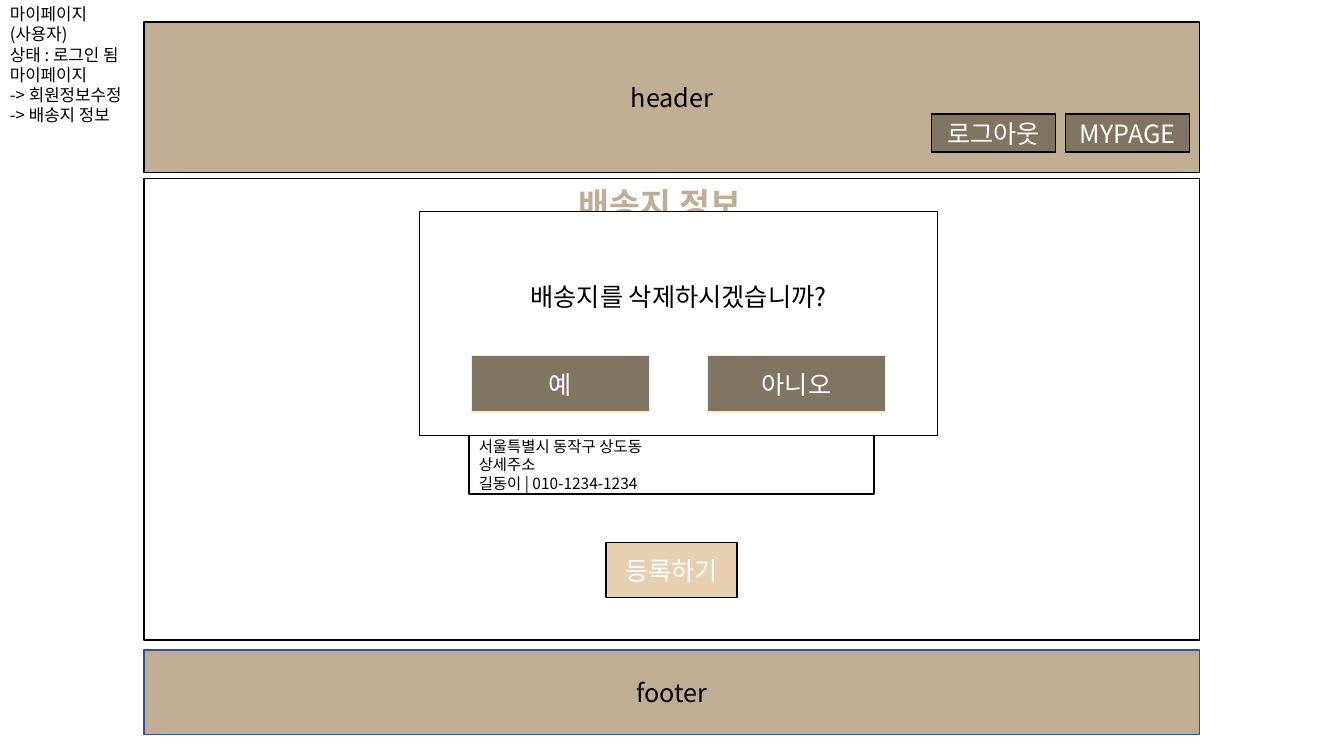
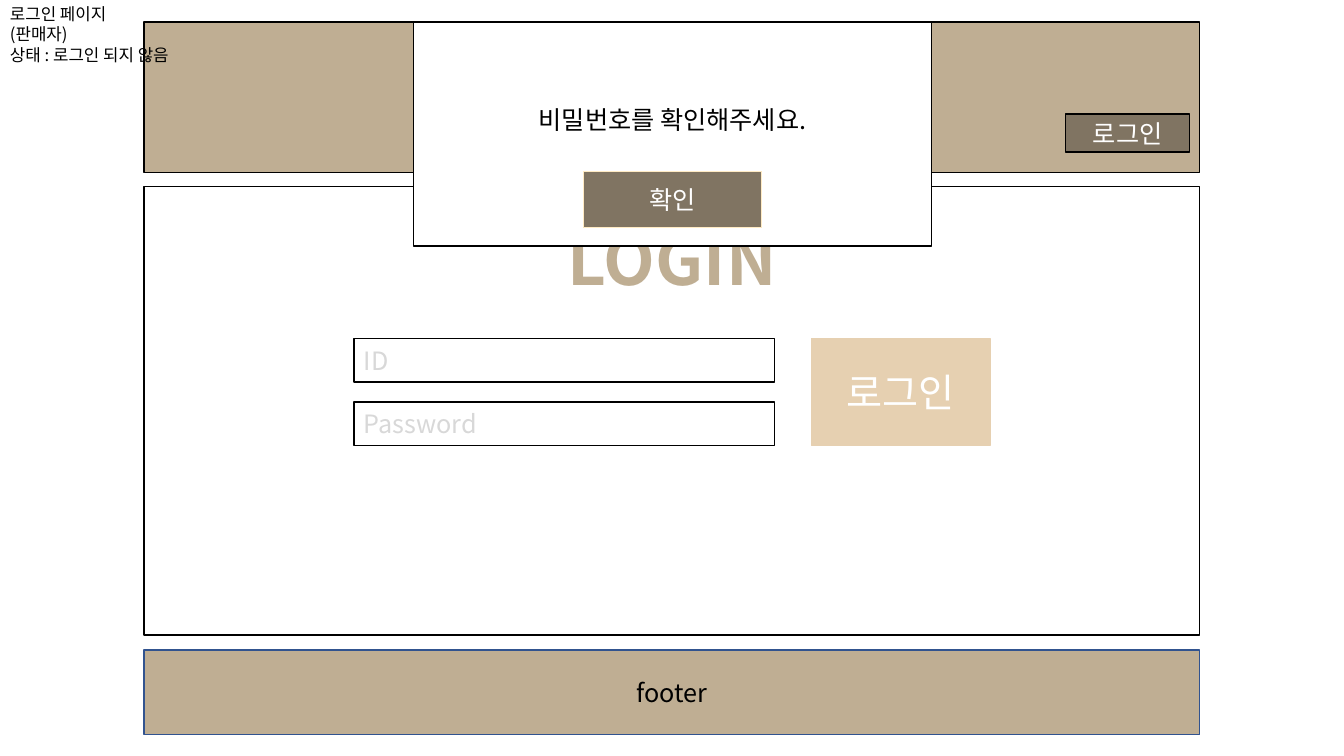
from dataclasses import dataclass

from lxml import etree
from pptx import Presentation
from pptx.dml.color import RGBColor
from pptx.enum.shapes import MSO_SHAPE
from pptx.enum.text import MSO_ANCHOR, MSO_AUTO_SIZE, PP_ALIGN
from pptx.oxml.ns import qn
from pptx.util import Inches, Pt

RECTANGLE = MSO_SHAPE.RECTANGLE
TOP, MIDDLE = MSO_ANCHOR.TOP, MSO_ANCHOR.MIDDLE
LEFT, CENTER = PP_ALIGN.LEFT, PP_ALIGN.CENTER
NO_AUTOSIZE = MSO_AUTO_SIZE.NONE
TITLE_ONLY_LAYOUT = 5


@dataclass(frozen=True)
class Theme:
    font: str = "Noto Sans CJK KR"
    black: str = "000000"
    white: str = "FFFFFF"
    band: str = "BFAE93"
    button: str = "807462"
    accent: str = "E6D0B1"
    dialog_button_line: str = "FFEBC4"
    footer_line: str = "31538F"
    hint: str = "D8D8D8"
    line_width: float = 1
    address_size: float = 11
    note_size: float = 12
    name_size: float = 14
    body_size: float = 18
    title_size: float = 24
    submit_size: float = 28
    login_title_size: float = 48


THEME = Theme()

PAGE_LEFT, PAGE_WIDTH = 1.43, 10.47
HEADER_TOP, HEADER_HEIGHT = 0.22, 1.49
HEADER_BUTTON_WIDTH, HEADER_BUTTON_GAP = 1.23, 0.1
DIALOG_WIDTH, DIALOG_HEIGHT = 5.14, 2.22
DIALOG_BUTTON_WIDTH, DIALOG_BUTTON_GAP = 1.77, 0.57


def style_paragraph(para, size, color, align, bold=False):
    para.alignment = align
    font = para.font
    font.size = Pt(size)
    font.bold = bold
    font.color.rgb = RGBColor.from_string(color)
    font.name = THEME.font
    properties = para._p.pPr.find(qn("a:defRPr"))
    etree.SubElement(properties, qn("a:ea")).set("typeface", THEME.font)


def write_text(shape, text, size, color, align=CENTER, anchor=MIDDLE, bold=False):
    frame = shape.text_frame
    frame.word_wrap = True
    frame.auto_size = NO_AUTOSIZE
    frame.vertical_anchor = anchor
    frame.text = text
    for para in frame.paragraphs:
        style_paragraph(para, size, color, align, bold)


def add_box(slide, left, top, width, height, fill=None, line=THEME.black):
    box = slide.shapes.add_shape(
        RECTANGLE, Inches(left), Inches(top), Inches(width), Inches(height))
    box.shadow.inherit = False
    if fill:
        box.fill.solid()
        box.fill.fore_color.rgb = RGBColor.from_string(fill)
    else:
        box.fill.background()
    box.line.color.rgb = RGBColor.from_string(line)
    box.line.width = Pt(THEME.line_width)
    return box


def add_button(slide, text, left, top, width, height, fill=THEME.button,
               line=THEME.black, size=THEME.body_size):
    button = add_box(slide, left, top, width, height, fill, line)
    write_text(button, text, size, THEME.white)


def add_header(slide, button_labels):
    """Draw the header band; its buttons run leftwards from the right edge."""
    header = add_box(slide, PAGE_LEFT, HEADER_TOP, PAGE_WIDTH, HEADER_HEIGHT, THEME.band)
    write_text(header, "header", THEME.body_size, THEME.black)
    right = PAGE_LEFT + PAGE_WIDTH - HEADER_BUTTON_GAP
    for label in button_labels:
        add_button(slide, label, right - HEADER_BUTTON_WIDTH, 1.13,
                   HEADER_BUTTON_WIDTH, 0.38)
        right -= HEADER_BUTTON_WIDTH + HEADER_BUTTON_GAP


def add_footer(slide):
    footer = add_box(slide, PAGE_LEFT, 6.45, PAGE_WIDTH, 0.84,
                     THEME.band, THEME.footer_line)
    write_text(footer, "footer", THEME.body_size, THEME.black)


def add_note(slide, text, width, height):
    note = slide.shapes.add_textbox(0, Inches(-0.01), Inches(width), Inches(height))
    write_text(note, text, THEME.note_size, THEME.black, LEFT, TOP)


def set_title(slide, text, left, top, width, height, size):
    title = slide.shapes.title
    title.left, title.top = Inches(left), Inches(top)
    title.width, title.height = Inches(width), Inches(height)
    write_text(title, text, size, THEME.band, LEFT, TOP, bold=True)


def add_page(deck, note, note_size, header_buttons, panel_top, panel_height):
    """Add a slide with the frame that every page shares."""
    slide = deck.slides.add_slide(deck.slide_layouts[TITLE_ONLY_LAYOUT])
    add_header(slide, header_buttons)
    add_box(slide, PAGE_LEFT, panel_top, PAGE_WIDTH, panel_height)
    add_footer(slide)
    add_note(slide, note, *note_size)
    return slide


def add_dialog(slide, message, left, top, bottom_inset, button_offset, button_labels):
    """Draw a dialog with a centred row of buttons."""
    dialog = add_box(slide, left, top, DIALOG_WIDTH, DIALOG_HEIGHT, THEME.white)
    write_text(dialog, message, THEME.body_size, THEME.black)
    dialog.text_frame.margin_bottom = Inches(bottom_inset)
    pitch = DIALOG_BUTTON_WIDTH + DIALOG_BUTTON_GAP
    row_width = len(button_labels) * pitch - DIALOG_BUTTON_GAP
    row_left = left + (DIALOG_WIDTH - row_width) / 2
    for index, label in enumerate(button_labels):
        add_button(slide, label, row_left + index * pitch, top + button_offset,
                   DIALOG_BUTTON_WIDTH, 0.56, line=THEME.dialog_button_line)


def add_address_card(slide, name, address):
    card = add_box(slide, 4.65, 3.87, 4.02, 1.03, THEME.white)
    write_text(card, f"{name}\n{address}", THEME.address_size, THEME.black, LEFT, TOP)
    card.text_frame.margin_bottom = 0
    name_para, first_address_para = card.text_frame.paragraphs[:2]
    name_para.font.size = Pt(THEME.name_size)
    first_address_para.space_before = Pt(13)


def add_input(slide, hint, top):
    field = add_box(slide, 3.51, top, 4.17, 0.43, THEME.white)
    write_text(field, hint, THEME.body_size, THEME.hint, LEFT)


def build_delivery_page(deck):
    note = "마이페이지\n(사용자)\n상태 : 로그인 됨\n마이페이지\n-> 회원정보수정\n-> 배송지 정보"
    slide = add_page(deck, note, (1.46, 1.31), ["MYPAGE", "로그아웃"], 1.77, 4.58)
    set_title(slide, "배송지 정보", 5.64, 1.77, 2.04, 0.5, THEME.title_size)
    add_address_card(slide, "길동이",
                     "서울특별시 동작구 상도동\n상세주소\n길동이 | 010-1234-1234")
    add_button(slide, "등록하기", 6.01, 5.38, 1.3, 0.55, THEME.accent)
    add_dialog(slide, "배송지를 삭제하시겠습니까?", 4.16, 2.1, 0.58, 1.43,
               ["예", "아니오"])


def build_login_page(deck):
    note = "로그인 페이지\n(판매자)\n상태 : 로그인 되지 않음"
    slide = add_page(deck, note, (1.99, 0.71), ["로그인"], 1.85, 4.45)
    set_title(slide, "LOGIN", 5.53, 2.12, 2.28, 0.91, THEME.login_title_size)
    for index, hint in enumerate(["ID", "Password"]):
        add_input(slide, hint, 3.36 + index * 0.63)
    add_button(slide, "로그인", 8.05, 3.36, 1.77, 1.06, THEME.accent,
               THEME.accent, THEME.submit_size)
    add_dialog(slide, "비밀번호를 확인해주세요.", 4.1, HEADER_TOP, 0.35, 1.48, ["확인"])


def main():
    deck = Presentation()
    deck.slide_width, deck.slide_height = Inches(13.33), Inches(7.5)
    build_delivery_page(deck)
    build_login_page(deck)
    deck.save("out.pptx")


if __name__ == "__main__":
    main()
